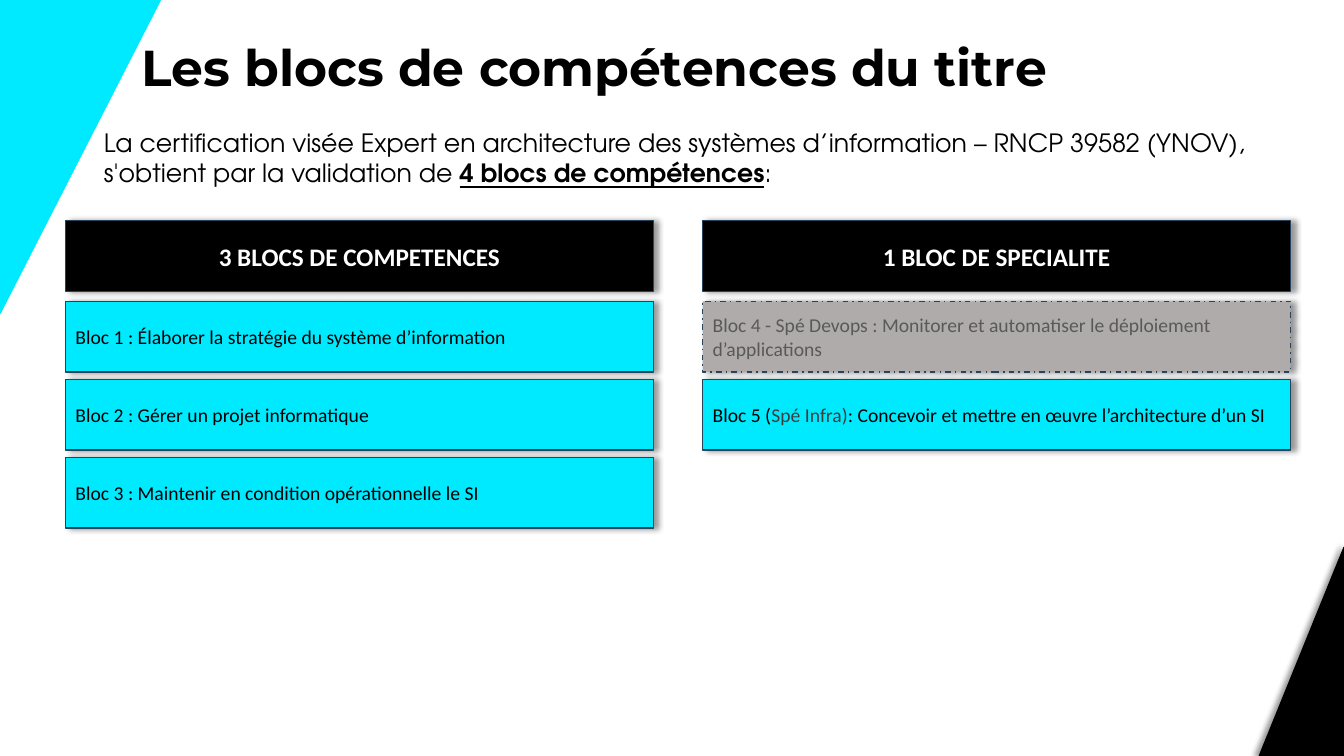
from lxml.etree import SubElement
from pptx import Presentation
from pptx.dml.color import RGBColor
from pptx.enum.dml import MSO_LINE
from pptx.enum.shapes import MSO_SHAPE
from pptx.enum.text import MSO_ANCHOR, PP_ALIGN
from pptx.oxml.ns import qn
from pptx.util import Inches, Pt

BLACK = RGBColor(0x00, 0x00, 0x00)
WHITE = RGBColor(0xFF, 0xFF, 0xFF)
CYAN = RGBColor(0x00, 0xEA, 0xFF)
GREY = RGBColor(0xAF, 0xAB, 0xAB)
GREY_TEXT = RGBColor(0x59, 0x59, 0x59)
DARK_TEXT = RGBColor(0x3D, 0x3D, 0x3D)
OUTLINE = RGBColor(0x28, 0x44, 0x5D)

TITLE = "Les blocs de compétences du titre"
INTRO = [
    ("La certification visée Expert en architecture des systèmes d’information\u00a0– "
     "RNCP 39582\u00a0(YNOV), s'obtient par la validation de ", False),
    ("4\u00a0blocs de compétences", True),
    (":", False),
]
COLUMNS = [
    ("3 BLOCS DE COMPETENCES", [
        ([("Bloc 1 : Élaborer la stratégie du système d’information", BLACK)], True),
        ([("Bloc 2 : Gérer un projet informatique", BLACK)], True),
        ([("Bloc 3 : Maintenir en condition opérationnelle le SI", BLACK)], True),
    ]),
    ("1 BLOC DE SPECIALITE", [
        ([("Bloc 4 - Spé Devops : Monitorer et automatiser le déploiement "
           "d’applications", GREY_TEXT)], False),
        ([("Bloc 5 (", BLACK), ("Spé Infra)", DARK_TEXT),
          (": Concevoir et mettre en œuvre l’architecture d’un SI", BLACK)], True),
    ]),
]
COLUMN_LEFT, COLUMN_PITCH = 0.65, 6.32
HEADER_TOP, FIRST_BLOCK_TOP, BLOCK_PITCH = 2.19, 2.99, 0.775
BLOCK_WIDTH, BLOCK_HEIGHT = 5.83, 0.7


def add_shadow(shape, degrees):
    shape.shadow.inherit = False
    effects = shape._element.spPr.find(qn("a:effectLst"))
    shadow = SubElement(effects, qn("a:outerShdw"), blurRad=str(Pt(4)), dist=str(Pt(3)),
                        dir=str(degrees * 60000), algn="l", rotWithShape="0")
    color = SubElement(shadow, qn("a:srgbClr"), val="000000")
    SubElement(color, qn("a:alpha"), val="40000")


def add_filled(slide, kind, box, fill, line, shadow_angle):
    shape = slide.shapes.add_shape(kind, *map(Inches, box))
    shape.fill.solid()
    shape.fill.fore_color.rgb = fill
    shape.line.color.rgb = line
    shape.line.width = Pt(1)
    add_shadow(shape, shadow_angle)
    return shape


def add_corner(slide, box, color, rotation):
    corner = add_filled(slide, MSO_SHAPE.ISOSCELES_TRIANGLE, box, color, color, 180)
    corner.adjustments[0] = 1
    corner.rotation = rotation


def add_block(slide, left, top, runs, fill, size, bold, alignment):
    box = (left, top, BLOCK_WIDTH, BLOCK_HEIGHT)
    block = add_filled(slide, MSO_SHAPE.RECTANGLE, box, fill, OUTLINE, 0)
    block.text_frame.word_wrap = True
    block.text_frame.vertical_anchor = MSO_ANCHOR.MIDDLE
    paragraph = block.text_frame.paragraphs[0]
    paragraph.alignment = alignment
    paragraph.font.name = "Calibri"
    paragraph.font.size = Pt(size)
    paragraph.font.bold = bold
    for text, color in runs:
        run = paragraph.add_run()
        run.text = text
        run.font.color.rgb = color
    return block


def format_text(shape, font_name, size, bold):
    frame = shape.text_frame
    frame.word_wrap = True
    frame.margin_left = frame.margin_right = frame.margin_bottom = 0
    frame.margin_top = Inches(0.01)
    paragraph = frame.paragraphs[0]
    paragraph.alignment = PP_ALIGN.LEFT
    paragraph.font.name = font_name
    paragraph.font.size = Pt(size)
    paragraph.font.bold = bold
    paragraph.font.color.rgb = BLACK
    return paragraph


def main():
    presentation = Presentation()
    presentation.slide_width = Inches(13.33)
    presentation.slide_height = Inches(7.5)
    slide = presentation.slides.add_slide(presentation.slide_layouts[5])

    add_corner(slide, (12.49, 5.43, 0.84, 2.07), BLACK, 0)
    add_corner(slide, (0, 0, 1.59, 3.11), CYAN, 180)

    title = slide.shapes.title
    title.left, title.top, title.width, title.height = map(Inches, (1.4, 0.37, 9.35, 0.56))
    title.text_frame.text = TITLE
    title.text_frame.vertical_anchor = MSO_ANCHOR.MIDDLE
    format_text(title, "Montserrat", 36, True)

    intro = slide.shapes.add_textbox(*map(Inches, (1.03, 1.25, 11.58, 0.63)))
    paragraph = format_text(intro, "TeX Gyre Adventor", 18, False)
    for text, emphasized in INTRO:
        run = paragraph.add_run()
        run.text = text
        if emphasized:
            run.font.bold = True
            run.font.underline = True

    for column, (header, blocks) in enumerate(COLUMNS):
        left = COLUMN_LEFT + column * COLUMN_PITCH
        add_block(slide, left, HEADER_TOP, [(header, WHITE)], BLACK, 18, True, PP_ALIGN.CENTER)
        for row, (runs, active) in enumerate(blocks):
            top = FIRST_BLOCK_TOP + row * BLOCK_PITCH
            block = add_block(slide, left, top, runs, CYAN if active else GREY,
                              14, False, PP_ALIGN.LEFT)
            if not active:
                block.line.dash_style = MSO_LINE.DASH_DOT

    presentation.save("out.pptx")


if __name__ == "__main__":
    main()
